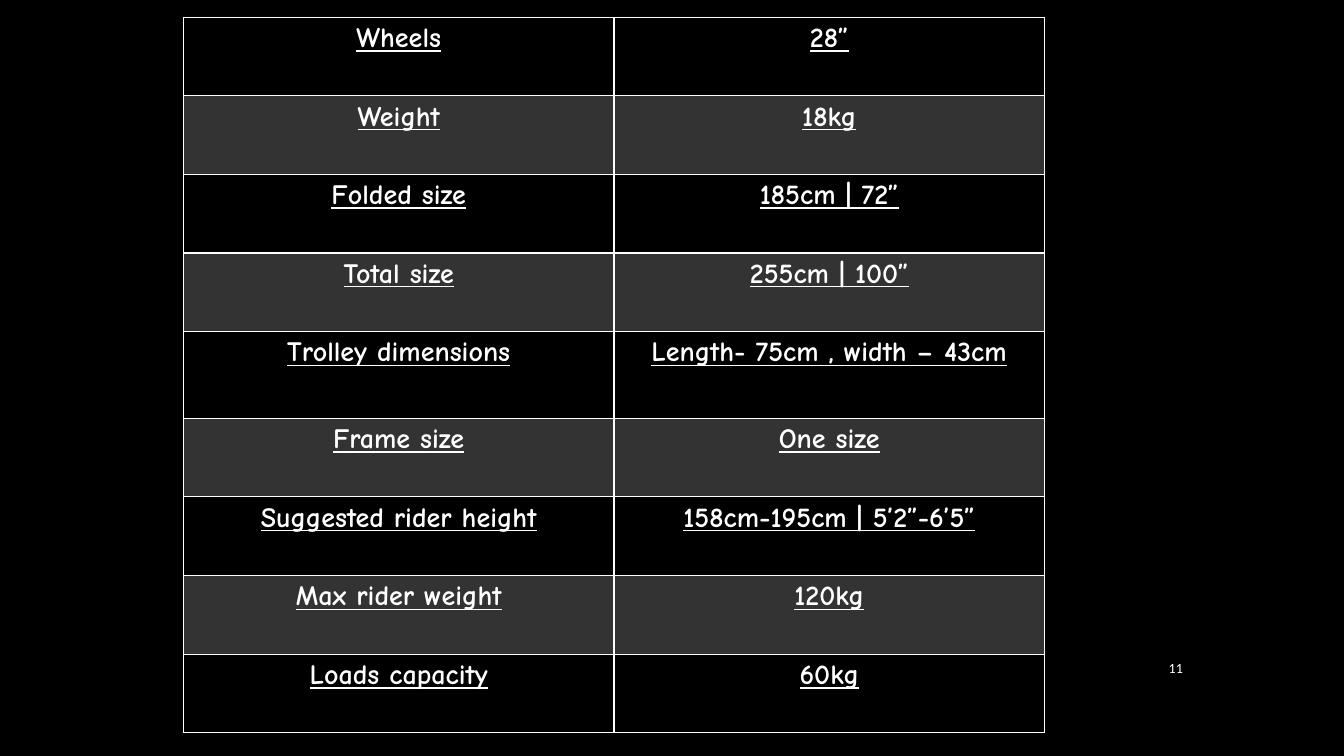
from dataclasses import dataclass

from lxml import etree
from pptx import Presentation
from pptx.dml.color import RGBColor
from pptx.enum.text import MSO_ANCHOR, PP_ALIGN
from pptx.oxml.ns import qn
from pptx.table import _Cell
from pptx.text.text import _Paragraph
from pptx.util import Inches, Pt

CENTER, RIGHT = PP_ALIGN.CENTER, PP_ALIGN.RIGHT
MIDDLE = MSO_ANCHOR.MIDDLE
COLORS = {"background": "000000", "foreground": "FFFFFF"}
BAND_OPACITY = 20
COLUMN_WIDTH = 4.27
ROW_HEIGHT = 0.78
TALL_ROW_HEIGHT = 0.86


@dataclass(frozen=True)
class Specification:
    label: str
    value: str
    height: float = ROW_HEIGHT


SPECIFICATIONS = [
    Specification("Wheels", "28”"),
    Specification("Weight", "18kg"),
    Specification("Folded size", "185cm | 72”"),
    Specification("Total size", "255cm | 100”"),
    Specification("Trolley dimensions", "Length- 75cm , width – 43cm", TALL_ROW_HEIGHT),
    Specification("Frame size", "One size"),
    Specification("Suggested rider height", "158cm-195cm | 5’2”-6’5”"),
    Specification("Max rider weight", "120kg"),
    Specification("Loads capacity", "60kg"),
]


def add_run(paragraph: _Paragraph, text: str, font_name: str, size: int,
            emphasized: bool = False) -> None:
    """Add a run; an emphasized one is bold and underlined."""
    run = paragraph.add_run()
    run.text = text
    run.font.name = font_name
    run.font.size = Pt(size)
    run.font.bold = emphasized
    run.font.underline = emphasized
    run.font.color.rgb = RGBColor.from_string(COLORS["foreground"])


def add_borders(cell: _Cell) -> None:
    properties = cell._tc.get_or_add_tcPr()
    for side in ("lnL", "lnR", "lnT", "lnB"):
        line = etree.SubElement(properties, qn(f"a:{side}"), w=str(Pt(1)))
        fill = etree.SubElement(line, qn("a:solidFill"))
        etree.SubElement(fill, qn("a:srgbClr"), val=COLORS["foreground"])


def fill_cell(cell: _Cell, banded: bool) -> None:
    if not banded:
        cell.fill.background()
        return
    cell.fill.solid()
    cell.fill.fore_color.rgb = RGBColor.from_string(COLORS["foreground"])
    color = cell._tc.tcPr.find(f"{qn('a:solidFill')}/{qn('a:srgbClr')}")
    etree.SubElement(color, qn("a:alpha"), val=str(BAND_OPACITY * 1000))


def add_specification_table(slide) -> None:
    height = sum(specification.height for specification in SPECIFICATIONS)
    table = slide.shapes.add_table(
        len(SPECIFICATIONS), 2, Inches(1.82), Inches(0.17),
        Inches(2 * COLUMN_WIDTH), Inches(height)).table
    table.first_row = False
    table.horz_banding = False
    for column in table.columns:
        column.width = Inches(COLUMN_WIDTH)
    for index, specification in enumerate(SPECIFICATIONS):
        row = table.rows[index]
        row.height = Inches(specification.height)
        for cell, text in zip(row.cells, (specification.label, specification.value)):
            add_borders(cell)
            fill_cell(cell, banded=index % 2 == 1)
            paragraph = cell.text_frame.paragraphs[0]
            paragraph.alignment = CENTER
            add_run(paragraph, text, "Comic Neue", 20, emphasized=True)


def add_slide_number(slide) -> None:
    text_frame = slide.shapes.add_textbox(
        Inches(11.23), Inches(6.42), Inches(0.6), Inches(0.41)).text_frame
    text_frame.word_wrap = True
    text_frame.vertical_anchor = MIDDLE
    paragraph = text_frame.paragraphs[0]
    paragraph.alignment = RIGHT
    add_run(paragraph, "11", "Calibri", 10)


def main() -> None:
    presentation = Presentation()
    presentation.slide_width = Inches(13.33)
    presentation.slide_height = Inches(7.5)
    slide = presentation.slides.add_slide(presentation.slide_layouts[6])
    slide.background.fill.solid()
    slide.background.fill.fore_color.rgb = RGBColor.from_string(COLORS["background"])
    add_slide_number(slide)
    add_specification_table(slide)
    presentation.save("out.pptx")


if __name__ == "__main__":
    main()
